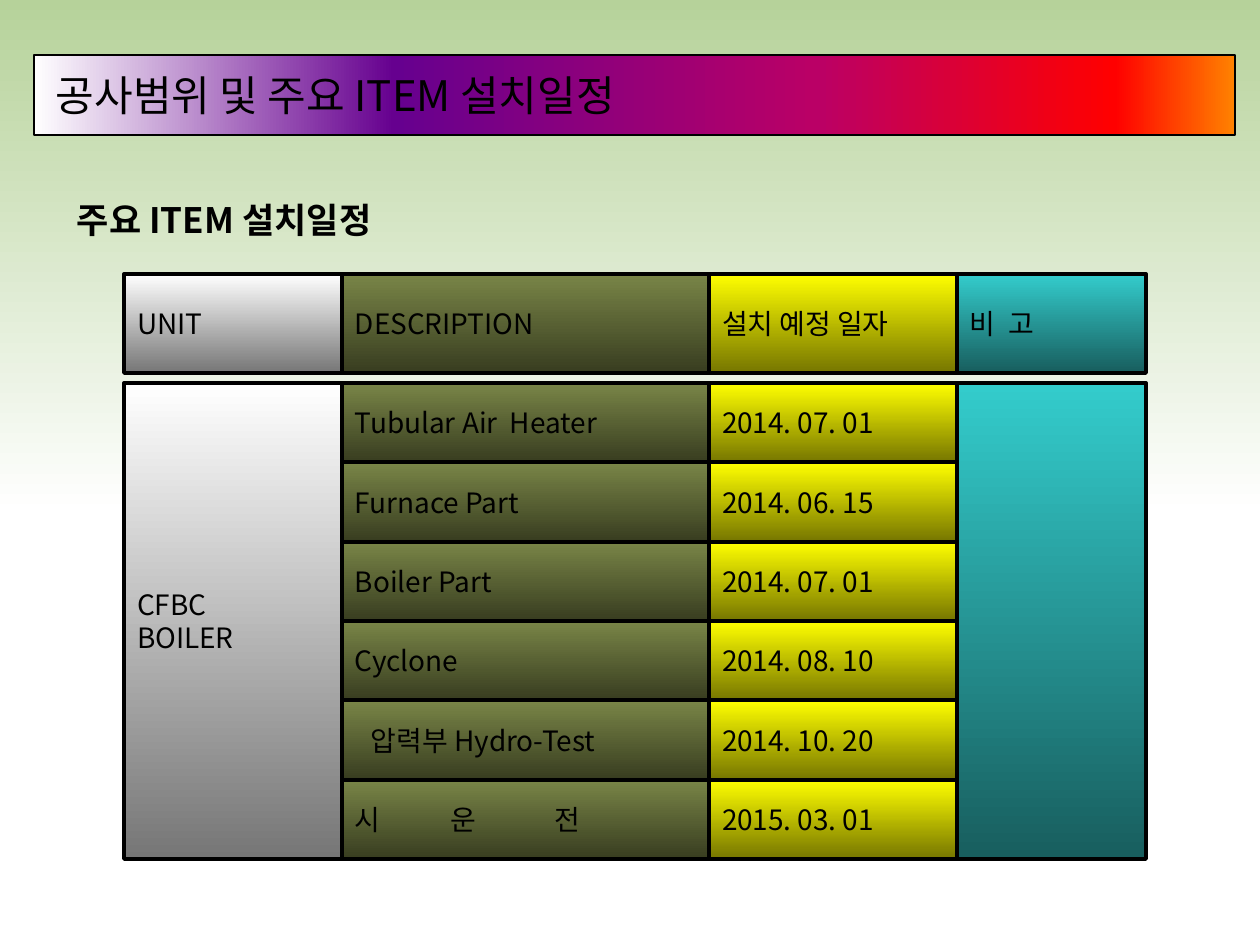
from itertools import pairwise

from lxml import etree
from pptx import Presentation, util as u
from pptx.dml.color import RGBColor
from pptx.enum import shapes, text
from pptx.oxml.ns import qn

EMU_PER_PX = 914400 / 126
FONT = "Noto Sans CJK KR"
COLOURS = {
    "black": "000000", "white": "FFFFFF", "mist": "B6D29A", "grey": "767676",
    "olive": "798547", "dark olive": "383D20", "yellow": "FFFF00",
    "dark yellow": "767600", "teal": "33CCCC", "dark teal": "185E5E",
    "violet": "66008F", "magenta": "BA0066", "red": "FF0000", "orange": "FF8200",
}
UNIT, DESCRIPTION, DATE, REMARK = (
    [(0, start), (100, end)] for start, end in (
        ("white", "grey"), ("olive", "dark olive"),
        ("yellow", "dark yellow"), ("teal", "dark teal")))
MIST = [(0, "mist"), (100, "white")]
RAINBOW = [(0, "white"), (30, "violet"), (65, "magenta"), (90, "red"), (100, "orange")]
HEADERS = ["UNIT", "DESCRIPTION", "설치 예정 일자", "비  고"]
SCHEDULE = [
    ("Tubular Air  Heater", "2014. 07. 01", {}),
    ("Furnace Part", "2014. 06. 15", {}),
    ("Boiler Part", "2014. 07. 01", {}),
    ("Cyclone", "2014. 08. 10", {}),
    ("압력부 Hydro-Test", "2014. 10. 20", {"inset": 29}),
    ("시\t운\t전", "2015. 03. 01", {"tabs": (96, 200)}),
]


def px(length):
    """Turn pixels into EMU."""
    return u.Emu(round(length * EMU_PER_PX))


def place(shape, box):
    """Move and size a shape to a left, top, width, height box."""
    shape.left, shape.top, shape.width, shape.height = map(px, box)


def paint(shape, stops, angle=270, line=None):
    """Give a shape a linear gradient and an optional black outline."""
    shape.fill.gradient()
    shape.fill.gradient_angle = angle
    stop_list = shape.element.spPr.find(qn("a:gradFill")).find(qn("a:gsLst"))
    for stop in list(stop_list):
        stop_list.remove(stop)
    for position, colour in stops:
        stop = etree.SubElement(stop_list, qn("a:gs"), pos=str(position * 1000))
        etree.SubElement(stop, qn("a:srgbClr"), val=COLOURS[colour])
    if line:
        shape.line.color.rgb = RGBColor.from_string(COLOURS["black"])
        shape.line.width = u.Pt(line)
    else:
        shape.line.fill.background()


def write(shape, content, size=16, bold=False, inset=13, tabs=()):
    """Write left-aligned, vertically centred text, one paragraph a line."""
    frame = shape.text_frame
    frame.word_wrap = True
    frame.auto_size = text.MSO_AUTO_SIZE.NONE
    frame.vertical_anchor = text.MSO_ANCHOR.MIDDLE
    frame.margin_left = px(inset)
    frame.text = content
    for paragraph in frame.paragraphs:
        paragraph.alignment = text.PP_ALIGN.LEFT
        if tabs:
            tab_list = etree.SubElement(paragraph._p.get_or_add_pPr(), qn("a:tabLst"))
            for stop in tabs:
                etree.SubElement(tab_list, qn("a:tab"), pos=str(px(stop)), algn="l")
        for run in paragraph.runs:
            run.font.size = u.Pt(size)
            run.font.bold = bold
            run.font.color.rgb = RGBColor.from_string(COLOURS["black"])
            run.font.name = FONT
            etree.SubElement(run.font._element, qn("a:ea"), typeface=FONT)


def add_panel(slide, box, stops, line=None):
    """Add a gradient rectangle without a shadow."""
    panel = slide.shapes.add_shape(shapes.MSO_SHAPE.RECTANGLE, *map(px, box))
    panel.shadow.inherit = False
    paint(panel, stops, line=line)
    return panel


def add_cell(slide, box, stops, content="", **text_format):
    """Add one outlined cell of the schedule."""
    cell = add_panel(slide, box, stops, line=2.25)
    if content:
        write(cell, content, **text_format)


def add_backdrop(slide, box):
    """Lay the pale gradient behind everything else."""
    backdrop = add_panel(slide, box, MIST)
    slide.shapes.title.element.addprevious(backdrop.element)


def add_title(slide, box):
    """Turn the title placeholder into the rainbow bar."""
    title = slide.shapes.title
    place(title, box)
    paint(title, RAINBOW, angle=0, line=0.75)
    write(title, "공사범위 및 주요 ITEM 설치일정", size=24, inset=22)


def add_heading(slide, box):
    """Add the heading above the schedule."""
    heading = slide.shapes.add_textbox(*map(px, box))
    write(heading, "주요 ITEM 설치일정", size=20, bold=True)


def add_schedule(slide, box):
    """Draw the header row, the item rows and the two tall side cells."""
    left, top, width, height = box
    edges = [left + offset for offset in (0, 218, 585, 833, width)]
    columns = [(start, end - start) for start, end in pairwise(edges)]
    fills = [UNIT, DESCRIPTION, DATE, REMARK]
    header_height, body_offset = 99, 109
    body_top, body_height = top + body_offset, height - body_offset
    for (x, w), fill, header in zip(columns, fills, HEADERS):
        add_cell(slide, (x, top, w, header_height), fill, header)

    row_height = body_height / len(SCHEDULE)
    for row, (item, date, text_format) in enumerate(SCHEDULE):
        y = body_top + row * row_height
        (item_x, item_w), (date_x, date_w) = columns[1:3]
        add_cell(slide, (item_x, y, item_w, row_height), fills[1], item, **text_format)
        add_cell(slide, (date_x, y, date_w, row_height), fills[2], date)

    for index, content in ((0, "CFBC\nBOILER"), (3, "")):
        x, w = columns[index]
        add_cell(slide, (x, body_top, w, body_height), fills[index], content)


def main():
    """Build and save the presentation."""
    presentation = Presentation()
    presentation.slide_width, presentation.slide_height = px(1260), px(945)
    slide = presentation.slides.add_slide(presentation.slide_layouts[5])
    add_backdrop(slide, (0, 0, 1260, 514))
    add_title(slide, (34, 55, 1201, 80))
    add_heading(slide, (64, 190, 1134, 60))
    add_schedule(slide, (124, 274, 1022, 585))
    presentation.save("out.pptx")


if __name__ == "__main__":
    main()
